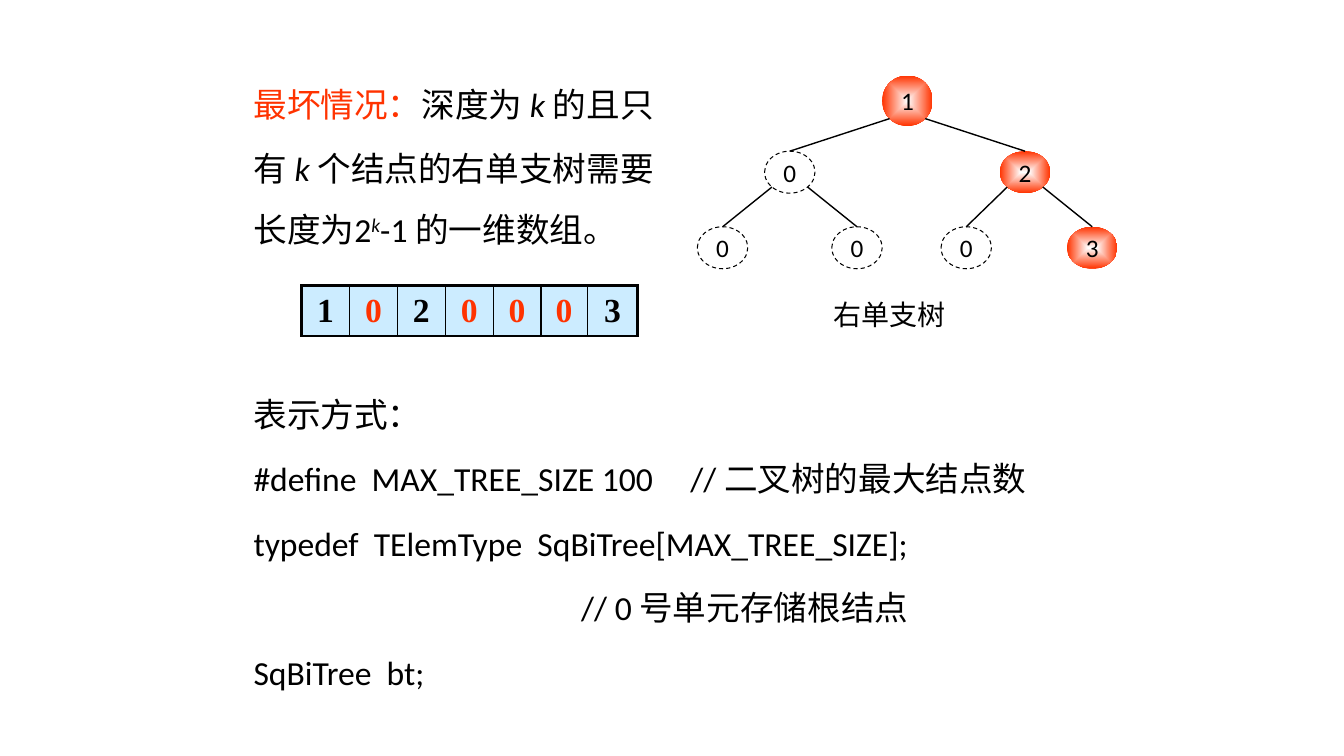
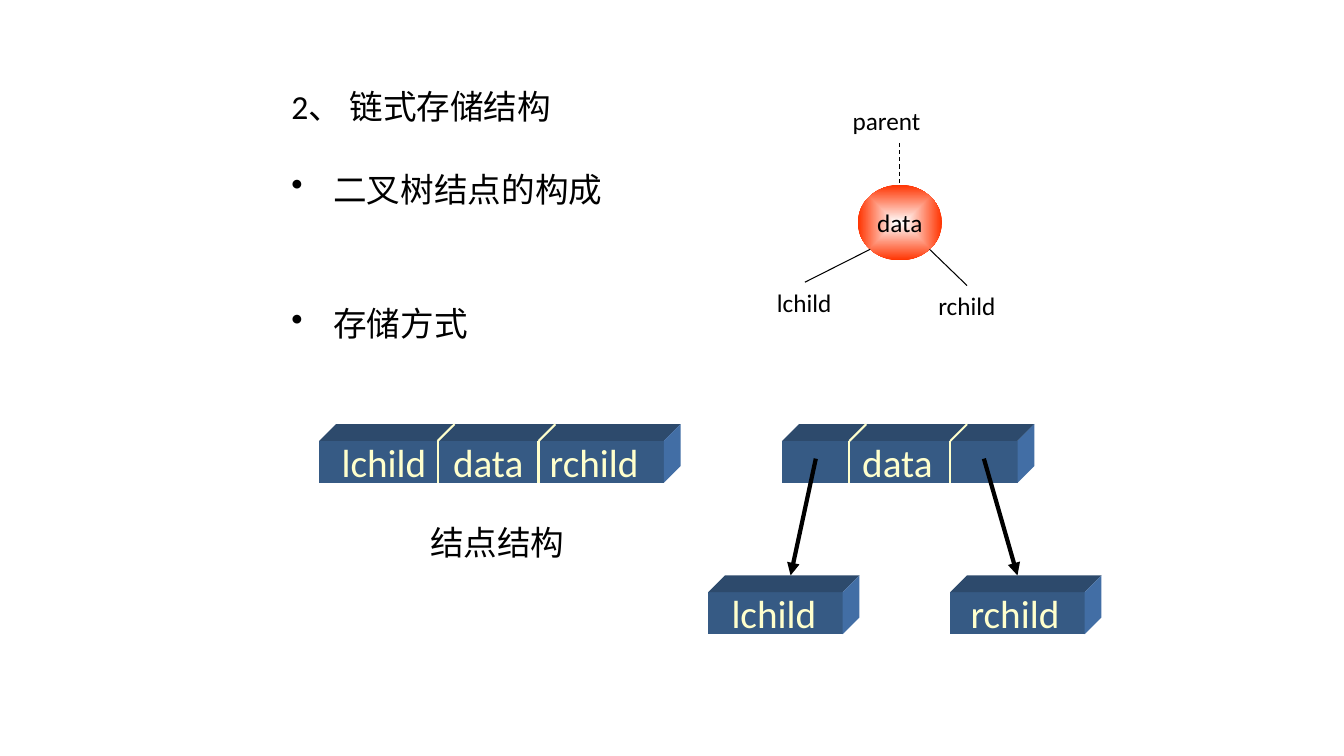
import math

import pptx
import pptx.dml.color
import pptx.enum.dml
import pptx.enum.shapes
import pptx.enum.text
import pptx.oxml
import pptx.oxml.ns
import pptx.util

RGBColor = pptx.dml.color.RGBColor
ALIGN = pptx.enum.text.PP_ALIGN
ANCHOR = pptx.enum.text.MSO_ANCHOR
SHAPE = pptx.enum.shapes.MSO_SHAPE
DASH = pptx.enum.dml.MSO_LINE.DASH
qn = pptx.oxml.ns.qn

BLACK = RGBColor(0x00, 0x00, 0x00)
WHITE = RGBColor(0xFF, 0xFF, 0xFF)
RED = RGBColor(0xFF, 0x33, 0x00)
CREAM = RGBColor(0xFF, 0xFF, 0xCC)
SKY = RGBColor(0xCC, 0xEC, 0xFF)
FRONT = RGBColor(0x36, 0x5A, 0x84)
TOP = RGBColor(0x2D, 0x4A, 0x6C)
SIDE = RGBColor(0x42, 0x6E, 0xA5)

COLUMNS, ROWS = 160, 90
WIDTH, HEIGHT = pptx.util.Inches(13.33), pptx.util.Inches(7.5)


def grid(n):
    return int(n * HEIGHT / ROWS)


def sub(parent, tag, **attributes):
    child = parent.makeelement(qn(tag), attributes)
    parent.append(child)
    return child


def add_run(p, text, size=24, font="Calibri", color=BLACK, bold=False, italic=False, raised=False):
    r = p.add_run()
    r.text = text
    r.font.size = pptx.util.Pt(size)
    r.font.name = font
    r.font.color.rgb = color
    r.font.bold = bold
    r.font.italic = italic
    if raised:
        r.font._element.set("baseline", "30000")
    return r


class Deck:
    """Slides on a grid of 160 columns and 90 rows, in one style."""

    def __init__(self):
        self.prs = pptx.Presentation()
        self.prs.slide_width, self.prs.slide_height = WIDTH, HEIGHT
        self.shapes = None

    def slide(self):
        self.shapes = self.prs.slides.add_slide(self.prs.slide_layouts[6]).shapes

    def text(self, x, y, w, h, text="", anchor=ANCHOR.TOP, align=ALIGN.LEFT, **fmt):
        sp = self.shapes.add_textbox(grid(x), grid(y), grid(w), grid(h))
        tf = sp.text_frame
        tf.word_wrap = True
        tf.vertical_anchor = anchor
        if text:
            tf.paragraphs[0].alignment = align
            add_run(tf.paragraphs[0], text, **fmt)
        return tf

    def paragraphs(self, tf, lines):
        for i, (spacing, runs) in enumerate(lines):
            p = tf.paragraphs[0] if i == 0 else tf.add_paragraph()
            p.line_spacing = spacing
            for text, fmt in runs:
                add_run(p, text, **fmt)

    def bullet(self, x, y, w, text):
        p = self.text(x, y, w, 6, text).paragraphs[0]
        pPr = p._p.get_or_add_pPr()
        pPr.set("marL", str(grid(5)))
        pPr.set("indent", str(-grid(5)))
        sub(pPr, "a:buChar", char="•")

    def line(self, start, end, color=BLACK, width=1, dash=False, arrow=False):
        kind = pptx.enum.shapes.MSO_CONNECTOR.STRAIGHT
        cxn = self.shapes.add_connector(kind, *map(grid, (*start, *end)))
        cxn.line.color.rgb = color
        cxn.line.width = pptx.util.Pt(width)
        if dash:
            cxn.line.dash_style = DASH
        if arrow:
            sub(cxn.line._get_or_add_ln(), "a:tailEnd", type="triangle")
        sub(cxn._element.spPr, "a:effectLst")

    def node(self, cx, y, w, h, text, filled):
        sp = self.shapes.add_shape(SHAPE.OVAL, *map(grid, (cx - w / 2, y, w, h)))
        sp.shadow.inherit = False
        if filled:
            self.glow(sp)
        else:
            sp.fill.background()
            sp.line.color.rgb = BLACK
            sp.line.width = pptx.util.Pt(0.75)
            sp.line.dash_style = DASH
        tf = sp.text_frame
        tf.word_wrap = False
        tf.vertical_anchor = ANCHOR.MIDDLE
        p = tf.paragraphs[0]
        p.alignment = ALIGN.CENTER
        add_run(p, text, size=18)

    def glow(self, sp):
        sp.line.fill.background()
        sp.fill.gradient()
        for stop, color in zip(sp.fill.gradient_stops, (WHITE, RED)):
            stop.color.rgb = color
        grad = sp._element.spPr.find(qn("a:gradFill"))
        grad.remove(grad.find(qn("a:lin")))
        centre = sub(grad, "a:path", **{"path": "shape"})
        sub(centre, "a:fillToRect", **dict.fromkeys("ltrb", "50000"))

    def branch(self, cx, y, w, h, end, **fmt):
        reach = math.copysign(math.sqrt(0.5), end[0] - cx)
        start = (cx + reach * w / 2, y + h / 2 + abs(reach) * h / 2)
        self.line(start, end, **fmt)

    def face(self, points, color):
        start, *rest = [(grid(x), grid(y)) for x, y in points]
        sp = self.shapes.build_freeform(*start).add_line_segments(rest).convert_to_shape()
        sp.shadow.inherit = False
        sp.fill.solid()
        sp.fill.fore_color.rgb = color
        sp.line.fill.background()

    def block(self, x, y, w, labels, dividers=(), h=5, d=2):
        right, bottom = x + w, y + h
        self.face([(x, y), (right, y), (right, bottom), (x, bottom)], FRONT)
        self.face([(x, y), (x + d, y - d), (right + d, y - d), (right, y)], TOP)
        self.face([(right, y), (right + d, y - d), (right + d, bottom - d), (right, bottom)], SIDE)
        for text, cx in labels:
            self.text(cx - 8, y - 1, 16, 7, text, ANCHOR.MIDDLE, ALIGN.CENTER, size=28, color=CREAM)
        for at in dividers:
            self.line((at, bottom), (at, y), CREAM, 1.5)
            self.line((at, y), (at + d, y - d), CREAM, 1.5)

    def array(self, x, y, widths, h, values):
        frame = self.shapes.add_table(1, len(values), *map(grid, (x, y, sum(widths), h)))
        table = frame.table
        table.first_row = table.horz_banding = False
        table.rows[0].height = grid(h)
        last = len(values) - 1
        for i, (width, value) in enumerate(zip(widths, values)):
            table.columns[i].width = grid(width)
            cell = table.cell(0, i)
            cell.vertical_anchor = ANCHOR.MIDDLE
            cell.margin_left = cell.margin_right = grid(0.5)
            p = cell.text_frame.paragraphs[0]
            p.alignment = ALIGN.CENTER
            add_run(p, value, font="Times New Roman", bold=True, color=RED if value == "0" else BLACK)
            self.borders(cell, 2.25 if i == 0 else 1, 2.25 if i == last else 1)
            cell.fill.solid()
            cell.fill.fore_color.rgb = SKY

    def borders(self, cell, left, right):
        tcPr = cell._tc.get_or_add_tcPr()
        for side, width in zip("LRTB", (left, right, 2.25, 2.25)):
            ln = sub(tcPr, "a:ln" + side, w=str(pptx.util.Pt(width)))
            sub(sub(ln, "a:solidFill"), "a:srgbClr", val=str(BLACK))


def sequential_slide(deck):
    deck.slide()
    italic = {"italic": True}
    deck.paragraphs(deck.text(29, 7, 54, 23.3), [
        (1.5, [("最坏情况：", {"color": RED}), ("深度为 ", {}), ("k ", italic), ("的且只", {})]),
        (1.6, [("有 ", {}), ("k ", italic), ("个结点的右单支树需要", {})]),
        (1.5, [("长度为2", {}), ("k", {"italic": True, "raised": True}), ("-1 的一维数组。", {})]),
    ])
    deck.array(35.9, 34, [5.7] * 5 + [5.5, 6], 6, "1020003")

    code = deck.text(29, 43.4, 97, 39)
    deck.paragraphs(code, [(1.6, [(line, {})]) for line in (
        "表示方式：",
        "#define  MAX_TREE_SIZE 100\t// 二叉树的最大结点数",
        "typedef  TElemType  SqBiTree[MAX_TREE_SIZE];",
        "// 0 号单元存储根结点",
        "SqBiTree  bt;",
    )])
    tabs = sub(code.paragraphs[1]._p.get_or_add_pPr(), "a:tabLst")
    sub(tabs, "a:tab", pos=str(grid(52)), algn="l")
    code.paragraphs[3]._p.get_or_add_pPr().set("marL", str(grid(39)))

    tree = [(108, 9, 6, "1"), (94, 18, 5, "0"), (122, 18, 5, "2"),
            (86, 27, 5, "0"), (102, 27, 5, "0"), (115, 27, 5, "0"), (130, 27, 5, "3")]
    for i, (cx, y, h, value) in enumerate(tree):
        deck.node(cx, y, 6, h, value, filled=value != "0")
        if i:
            px, py, ph, _ = tree[(i - 1) // 2]
            deck.branch(px, py, 6, ph, (cx, y))
    deck.text(98, 34.8, 18, 5, "右单支树", size=20)


def linked_slide(deck):
    deck.slide()
    deck.text(33.5, 10, 40, 5.6, "2、 链式存储结构", ANCHOR.BOTTOM)
    deck.bullet(33.5, 19.5, 44, "二叉树结点的构成")
    deck.bullet(33.5, 35.5, 30, "存储方式")

    data = (107.1, 22, 10, 9)
    deck.node(*data, "data", filled=True)
    deck.line((107.1, 17), (107.1, 22), width=0.75, dash=True)
    for end in ((95.8, 33.6), (115.1, 34)):
        deck.branch(*data, end, width=0.75)
    for text, x, y in (("parent", 100.3, 12), ("lchild", 91.3, 33.6), ("rchild", 110.5, 34)):
        deck.text(x, y, 12, 4.8, text, size=18)

    deck.block(38, 52.5, 41, [("lchild", 45.7), ("data", 58.1), ("rchild", 70.7)], (52.1, 64.1))
    deck.text(50, 61.5, 20, 6, "结点结构")
    deck.block(93.1, 52.5, 28, [("data", 106.8)], (101.1, 113.1))
    for text, x, cx in (("rchild", 113.1, 120.8), ("lchild", 84.3, 92.1)):
        deck.block(x, 70.5, 16, [(text, cx)])
    for start, end in ((117.1, 121.1), (97.1, 94.1)):
        deck.line((start, 54.6), (end, 68.5), width=3, arrow=True)


def main():
    deck = Deck()
    sequential_slide(deck)
    linked_slide(deck)
    deck.prs.save("out.pptx")


if __name__ == "__main__":
    main()
